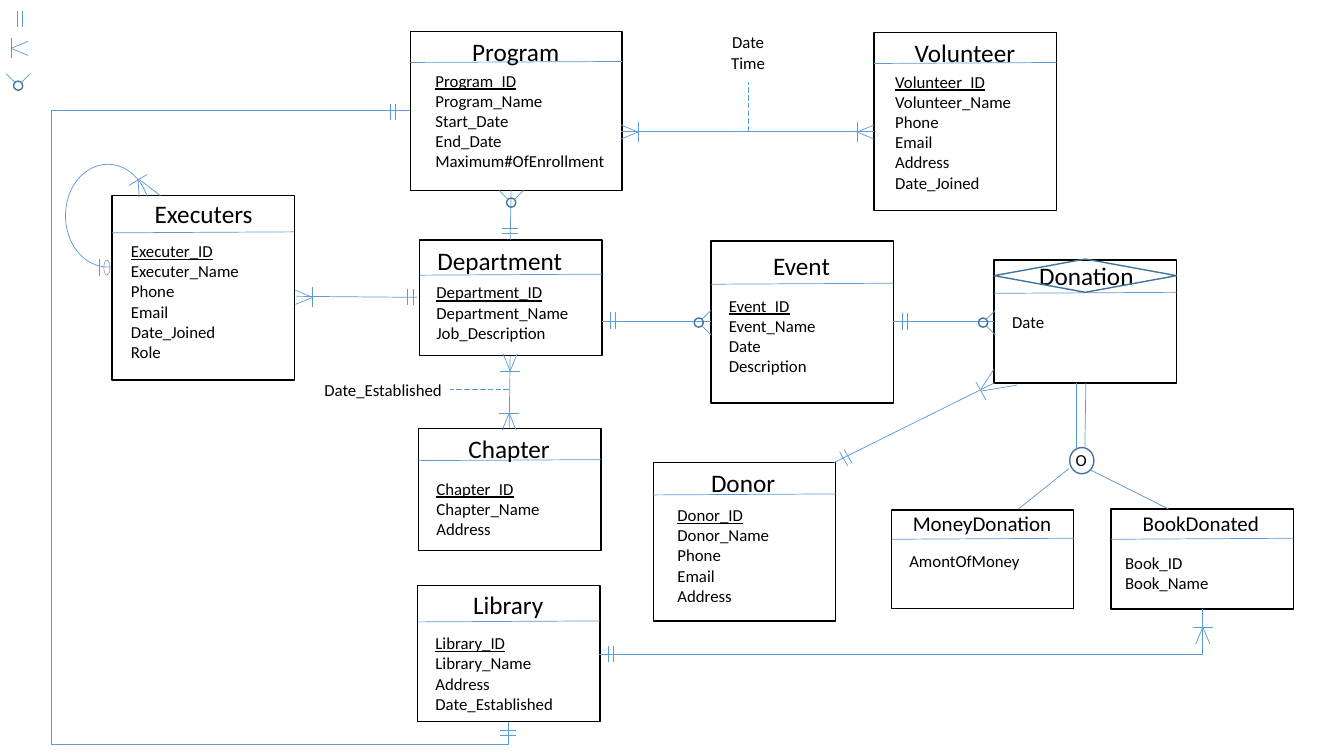
from pptx import Presentation
from pptx.dml.color import RGBColor
from pptx.enum.dml import MSO_LINE
from pptx.enum.shapes import MSO_CONNECTOR, MSO_SHAPE
from pptx.enum.text import MSO_AUTO_SIZE, PP_ALIGN
from pptx.util import Inches, Pt
from lxml import etree

BLACK = RGBColor(0x00, 0x00, 0x00)
BLUE = RGBColor(0x5B, 0x9B, 0xD5)
DARK_BLUE = RGBColor(0x43, 0x73, 0x9E)
STRAIGHT, ELBOW = MSO_CONNECTOR.STRAIGHT, MSO_CONNECTOR.ELBOW
CIRCLE = MSO_SHAPE.FLOWCHART_CONNECTOR
LEFT, CENTER = PP_ALIGN.LEFT, PP_ALIGN.CENTER
DASH = MSO_LINE.LONG_DASH
GROW = MSO_AUTO_SIZE.SHAPE_TO_FIT_TEXT
DRAWING = "{http://schemas.openxmlformats.org/drawingml/2006/main}"

deck = Presentation()
deck.slide_width, deck.slide_height = Inches(13.33), Inches(7.5)
page = deck.slides.add_slide(deck.slide_layouts[6])


def add_line(x1, y1, x2, y2, kind=STRAIGHT):
    line = page.shapes.add_connector(kind, Inches(x1), Inches(y1), Inches(x2), Inches(y2))
    line.line.color.rgb = BLUE
    line.line.width = Pt(0.5)
    etree.SubElement(line._element.spPr, DRAWING + "effectLst")
    return line


def add_outline(kind, left, top, width, height, color, weight=1):
    shape = page.shapes.add_shape(kind, Inches(left), Inches(top), Inches(width), Inches(height))
    shape.shadow.inherit = False
    shape.fill.background()
    shape.line.color.rgb = color
    shape.line.width = Pt(weight)
    return shape


# name, frame, divider y, title (left, top, width, height), title size, fields frame, fields, has key
entities = [
    ("Program", (4.07, 0.31, 2.1, 1.58), 0.62, (4.16, 0.31, 1.91, 0.34), 18, (4.22, 0.65, 2.01, 1.29),
     ["Program_ID", "Program_Name", "Start_Date", "End_Date", "Maximum#OfEnrollment"], True),
    ("Chapter", (4.15, 4.25, 1.81, 1.21), 4.57, (4.23, 4.25, 1.64, 0.36), 18, (4.23, 4.7, 1.65, 0.62),
     ["Chapter_ID", "Chapter_Name", "Address"], True),
    ("Executers", (1.11, 1.94, 1.81, 1.83), 2.31, (1.2, 1.92, 1.64, 0.4), 18, (1.2, 2.34, 1.65, 1.31),
     ["Executer_ID", "Executer_Name", "Phone", "Email", "Date_Joined", "Role"], True),
    ("Library", (4.14, 5.81, 1.81, 1.35), 6.17, (4.22, 5.8, 1.64, 0.4), 18, (4.22, 6.23, 1.65, 0.89),
     ["Library_ID", "Library_Name", "Address", "Date_Established"], True),
    ("Volunteer", (8.67, 0.32, 1.81, 1.77), 0.63, (8.75, 0.32, 1.64, 0.34), 18, (8.78, 0.66, 1.65, 1.09),
     ["Volunteer_ID", "Volunteer_Name", "Phone", "Email", "Address", "Date_Joined"], True),
    ("Event", (7.05, 2.39, 1.81, 1.61), 2.82, (7.13, 2.43, 1.64, 0.47), 18, (7.13, 2.88, 1.65, 0.91),
     ["Event_ID", "Event_Name", "Date", "Description"], True),
    ("Donor", (6.48, 4.59, 1.81, 1.57), 4.91, (6.55, 4.59, 1.64, 0.36), 18, (6.62, 4.96, 1.65, 1.16),
     ["Donor_ID", "Donor_Name", "Phone", "Email", "Address"], True),
    ("MoneyDonation", (8.84, 5.06, 1.81, 0.98), 5.35, (8.95, 5.02, 1.58, 0.35), 15, (8.92, 5.41, 1.65, 0.28),
     ["AmontOfMoney"], False),
    ("BookDonated", (11.02, 5.05, 1.81, 0.99), 5.35, (11.09, 5.02, 1.64, 0.35), 15, (11.06, 5.43, 1.65, 0.5),
     ["Book_ID", "Book_Name"], False),
    ("Donation", (9.86, 2.58, 1.81, 1.22), 2.91, (9.94, 2.53, 1.67, 0.4), 18, (9.94, 3.04, 1.65, 0.3),
     ["Date"], False),
    ("Department", (4.16, 2.38, 1.81, 1.15), 2.73, (4.24, 2.38, 1.64, 0.38), 18, (4.23, 2.75, 1.65, 0.71),
     ["Department_ID", "Department_Name", "Job_Description"], True),
]
texts = [
    ((7.02, 0.27, 0.8, 0.5), ["Date", "Time"], 12, CENTER, False),
    ((3.1, 3.72, 1.4, 0.3), ["Date_Established"], 12, CENTER, False),
    ((10.57, 4.41, 0.34, 0.3), ["O"], 12, LEFT, False),
]
for name, frame, divider, title_frame, title_size, fields_frame, fields, has_key in entities:
    add_outline(MSO_SHAPE.RECTANGLE, *frame, BLACK)
    add_line(frame[0], divider, frame[0] + frame[2], divider - 0.01)
    title_align = LEFT if name == "Department" else CENTER
    texts.append((title_frame, [name], title_size, title_align, False))
    texts.append((fields_frame, fields, 12, LEFT, has_key))

for frame, rows, size, align, has_key in texts:
    box = page.shapes.add_textbox(*[Inches(length) for length in frame])
    box.text_frame.word_wrap = True
    box.text_frame.auto_size = GROW
    for index, row in enumerate(rows):
        para = box.text_frame.paragraphs[0] if index == 0 else box.text_frame.add_paragraph()
        para.alignment = align
        span = para.add_run()
        span.text = row
        span.font.name = "Calibri"
        span.font.size = Pt(size)
        span.font.color.rgb = BLACK
        if has_key and index == 0:
            span.font.underline = True

add_outline(MSO_SHAPE.DIAMOND, 9.86, 2.57, 1.81, 0.33, DARK_BLUE)
add_outline(CIRCLE, 10.61, 4.44, 0.24, 0.26, DARK_BLUE)
add_outline(MSO_SHAPE.OVAL, 1.03, 2.58, 0.06, 0.15, DARK_BLUE, 0.25)
self_loop = add_outline(MSO_SHAPE.ARC, 0.65, 1.63, 0.84, 1.02, BLUE, 0.5)
self_loop.adjustments[0] = 51.968
self_loop.adjustments[1] = 200.182

relations = [
    (5.06, 2.38, 5.07, 1.89), (6.16, 1.3, 8.67, 1.3), (2.94, 2.94, 4.14, 2.95),
    (5.06, 3.53, 5.05, 4.25), (5.97, 3.19, 7.05, 3.19), (8.86, 3.19, 9.86, 3.19),
    (8.27, 4.59, 9.86, 3.8), (10.77, 3.8, 10.76, 4.44), (10.68, 3.8, 10.68, 4.44),
    (10.6, 4.65, 10.1, 5.05), (10.81, 4.66, 11.59, 5.05),
]
donation_foot = [(9.68, 3.79, 9.78, 3.97), (9.73, 3.86, 9.86, 3.66), (9.73, 3.88, 10.09, 3.82)]
executer_marks = [(0.99, 2.74, 0.99, 2.57), (1.46, 1.73, 1.28, 1.84),
                  (1.38, 1.78, 1.59, 1.94), (1.37, 1.78, 1.38, 1.96)]
for ends in relations + donation_foot + executer_marks:
    add_line(*ends)
for ends in [(7.42, 1.31, 7.42, 0.81), (5.05, 3.86, 4.46, 3.86)]:
    add_line(*ends).line.dash_style = DASH

elbows = [
    ((8.71, 3.28, 9.16, 9.26), "bentConnector2", []),
    ((7.59, 3.64, 1.52, 4.62), "bentConnector4", [-3600, 463200]),
]
for ends, preset, bends in elbows:
    elbow = add_line(*ends, ELBOW)
    properties = elbow._element.spPr
    properties.find(DRAWING + "xfrm").set("rot", "5400000")
    geometry = properties.find(DRAWING + "prstGeom")
    geometry.set("prst", preset)
    guides = geometry.find(DRAWING + "avLst")
    for index, bend in enumerate(bends, 1):
        etree.SubElement(guides, DRAWING + "gd", name=f"adj{index}", fmla=f"val {bend}")

one_marks = [
    (0.2, 0.19, 1, 0), (5.06, 2.29, 0, 1), (4.07, 2.95, 1, 0), (6.08, 3.18, 1, 0),
    (8.97, 3.19, 1, 0), (3.9, 1.11, 1, 0), (6.06, 6.49, 1, 0), (5.04, 7.27, 0, 1),
    (8.39, 4.54, 0.87, -0.5),
]
for x, y, dx, dy in one_marks:
    for shift in (-0.025, 0.025):
        bar_x, bar_y = x + shift * dx, y + shift * dy
        add_line(bar_x - 0.08 * dy, bar_y + 0.08 * dx, bar_x + 0.08 * dy, bar_y - 0.08 * dx)

many_marks = [
    (0.11, 0.48, 1, 0), (6.33, 1.31, -1, 0), (8.5, 1.31, 1, 0), (3.1, 2.95, -1, 0),
    (5.06, 3.68, 0, -1), (5.05, 4.1, 0, 1), (11.93, 6.22, 0, 1),
]
for x, y, dx, dy in many_marks:
    add_line(x - 0.1 * dy, y - 0.1 * dx, x + 0.1 * dy, y + 0.1 * dx)
    for side in (-0.07, 0.07):
        add_line(x, y, x + 0.17 * dx + side * dy, y + 0.17 * dy + side * dx)

optional_marks = [(0.18, 0.85, 0, -1), (5.07, 2.01, 0, -1), (6.93, 3.2, 1, 0), (9.75, 3.2, 1, 0)]
for x, y, dx, dy in optional_marks:
    add_outline(CIRCLE, x - 0.045, y - 0.045, 0.09, 0.09, DARK_BLUE)
    for side in (-1, 1):
        near_x, near_y = x + 0.03 * (dx + side * dy), y + 0.03 * (dy + side * dx)
        add_line(near_x, near_y, x + 0.12 * (dx + side * dy), y + 0.12 * (dy + side * dx))

deck.save("out.pptx")
